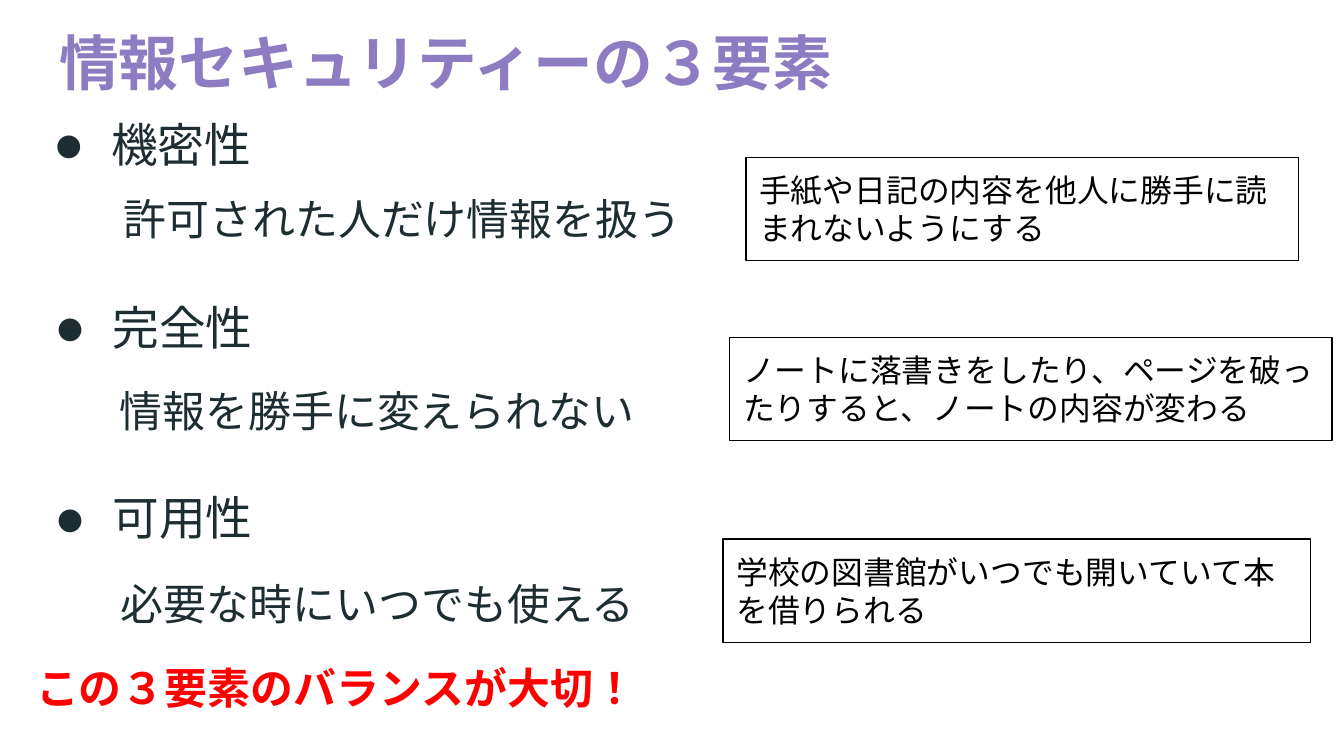
from lxml import etree
from pptx import Presentation
from pptx.dml.color import RGBColor
from pptx.enum.lang import MSO_LANGUAGE_ID
from pptx.enum.shapes import MSO_SHAPE
from pptx.enum.text import MSO_ANCHOR, MSO_AUTO_SIZE, PP_ALIGN
from pptx.oxml.ns import qn
from pptx.util import Inches, Pt

RECT = MSO_SHAPE.RECTANGLE
TOP = MSO_ANCHOR.TOP
LEFT = PP_ALIGN.LEFT
FIXED = MSO_AUTO_SIZE.NONE
JAPANESE = MSO_LANGUAGE_ID.JAPANESE
PURPLE = RGBColor(0x8E, 0x7C, 0xC3)
INK = RGBColor(0x1E, 0x2D, 0x31)
RED = RGBColor(0xFF, 0x00, 0x00)
BLACK = RGBColor(0x00, 0x00, 0x00)

ROWS = [
    ("機密性", (0.23, 0.76),
     "許可された人だけ情報を扱う", (0.82, 1.33),
     "手紙や日記の内容を他人に勝手に読まれないようにする", (5.55, 1.17, 4.11)),
    ("完全性", (0.24, 2.12),
     "情報を勝手に変えられない", (0.79, 2.76),
     "ノートに落書きをしたり、ページを破ったりすると、ノートの内容が変わる", (5.43, 2.51, 4.48)),
    ("可用性", (0.24, 3.54),
     "必要な時にいつでも使える", (0.8, 4.2),
     "学校の図書館がいつでも開いていて本を借りられる", (5.38, 4.01, 4.37)),
]


def write(shape, text, size, face, color, bold=False, asian=None):
    frame = shape.text_frame
    frame.word_wrap = True
    frame.auto_size = FIXED
    frame.vertical_anchor = TOP
    frame.margin_left = frame.margin_right = Inches(0.1)
    frame.margin_top = frame.margin_bottom = Inches(0.1)
    para = frame.paragraphs[0]
    para.text = text
    para.alignment = LEFT
    para.runs[0].font.language_id = JAPANESE
    font = para.font
    font.size = Pt(size)
    font.bold = bold
    font.color.rgb = color
    font.name = face
    props = para._p.get_or_add_pPr().find(qn("a:defRPr"))
    etree.SubElement(props, qn("a:ea"), typeface=asian or face)
    return para


def add_bullet(para, color):
    props = para._p.get_or_add_pPr()
    props.set("marL", str(Inches(0.5)))
    props.set("indent", str(Inches(-0.42)))
    tint = etree.Element(qn("a:buClr"))
    etree.SubElement(tint, qn("a:srgbClr"), val=str(color))
    face = etree.Element(qn("a:buFont"), typeface="Lato")
    mark = etree.Element(qn("a:buChar"), char="●")
    for index, item in enumerate((tint, face, mark)):
        props.insert(index, item)


def add_title(slide, text):
    title = slide.shapes.title
    title.left, title.top = Inches(0.34), Inches(0.09)
    title.width, title.height = Inches(9.32), Inches(0.68)
    write(title, text, 32, "TeX Gyre Pagella", PURPLE, True, "Arial")


def add_text(slide, text, place, width, height, size, color=INK, bold=False):
    left, top = place
    box = slide.shapes.add_textbox(
        Inches(left), Inches(top), Inches(width), Inches(height))
    return write(box, text, size, "Lato", color, bold)


def add_box(slide, text, left, top, width):
    box = slide.shapes.add_shape(
        RECT, Inches(left), Inches(top), Inches(width), Inches(0.77))
    box.shadow.inherit = False
    box.fill.background()
    box.line.color.rgb = BLACK
    box.line.width = Pt(0.75)
    write(box, text, 17, "Arial", BLACK)


def main():
    deck = Presentation()
    deck.slide_width = Inches(10)
    deck.slide_height = deck.slide_width * 9 // 16
    slide = deck.slides.add_slide(deck.slide_layouts[5])
    add_title(slide, "情報セキュリティーの３要素")
    for term, spot, gist, place, case, area in ROWS:
        add_bullet(add_text(slide, term, spot, 7.78, 0.62, 25), INK)
        add_text(slide, gist, place, 4.57, 0.59, 23)
        add_box(slide, case, *area)
    add_text(slide, "この３要素のバランスが大切！", (0.17, 4.82), 5.26, 0.59, 23, RED, True)
    deck.save("out.pptx")


if __name__ == "__main__":
    main()
